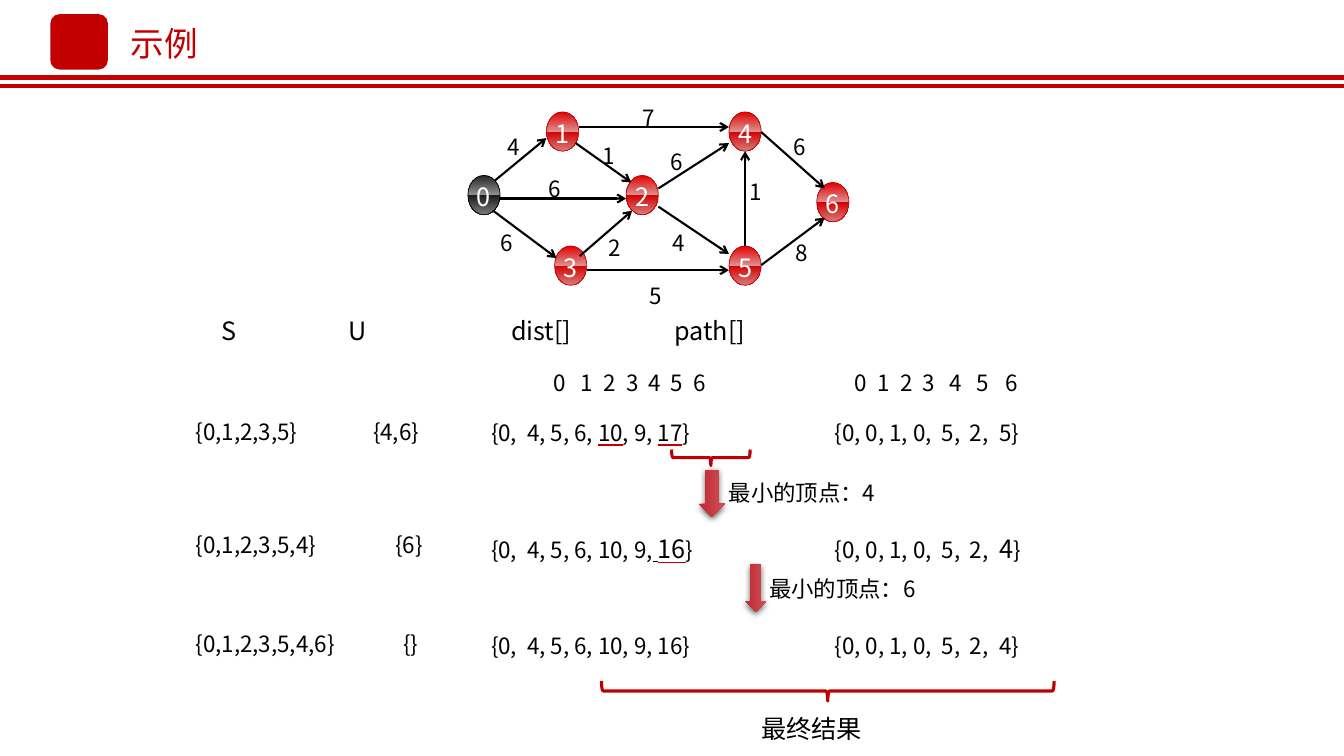
from dataclasses import dataclass
from lxml.etree import SubElement as Sub
from pptx import Presentation
from pptx.dml.color import RGBColor as Rgb
from pptx.enum.shapes import MSO_CONNECTOR as Link, MSO_SHAPE as Kind
from pptx.enum.text import MSO_ANCHOR as Anchor, PP_ALIGN as Align
from pptx.oxml.ns import qn
from pptx.util import Emu, Pt


@dataclass(frozen=True)
class Theme:
    font: str = "Noto Sans CJK SC"
    red: str = "C30000"
    brace: str = "C00000"
    black: str = "000000"
    white: str = "FFFFFF"
    arrow: tuple = ((0, "C0262E"), (100, "CD5158"))
    start: tuple = ((0, "9D9D9D"), (0, "252525"), (50, "909090"),
                    (50, "191919"), (100, "7C7C7C"), (100, "191919"))
    node: tuple = ((0, "E59D9D"), (0, "E20000"), (50, "DC9090"),
                   (50, "D30000"), (100, "D77C7C"), (100, "D30000"))
    body: int = 16
    large: int = 18
    title: int = 24


def px(n):
    return Emu(n * 9144)


def put(item, **vals):
    for key, val in vals.items():
        setattr(item, key, val)


def tint(owner, color):
    Sub(Sub(owner, qn("a:solidFill")), qn("a:srgbClr"), val=color)


class Board:
    def __init__(self, slide, theme):
        self.shapes = slide.shapes
        self.theme = theme

    def words(self, frame, runs, size=None, color=None, tabs=(), **para):
        look = self.theme
        par = frame.paragraphs[0]
        put(par, **para)
        if tabs:
            stops = Sub(par._p.get_or_add_pPr(), qn("a:tabLst"))
            for stop in tabs:
                Sub(stops, qn("a:tab"), pos=str(px(stop)), algn="l")
        for part in [(runs, {})] if isinstance(runs, str) else runs:
            text, style = part
            run = par.add_run()
            run.text = text
            run.font.color.rgb = Rgb.from_string(color or look.black)
            props = run._r.get_or_add_rPr()
            if "line" in style:
                tint(Sub(props, qn("a:uFill")), style["line"])
            put(run.font, name=look.font, size=Pt(style.get("size", size or look.body)),
                underline=style.get("under", False))
            Sub(props, qn("a:ea"), typeface=look.font)

    def text(self, box, runs, pad=True, wrap=True, anchor=Anchor.TOP, **style):
        frame = self.shapes.add_textbox(*map(px, box)).text_frame
        put(frame, word_wrap=wrap, vertical_anchor=anchor)
        if not pad:
            put(frame, margin_left=0, margin_top=0, margin_right=0, margin_bottom=0)
        self.words(frame, runs, **style)

    def shape(self, kind, box, fill=None, line=None, width=1.0, turn=0):
        item = self.shapes.add_shape(kind, *map(px, box))
        item.shadow.inherit = False
        item.rotation = turn
        if fill:
            item.fill.solid()
            item.fill.fore_color.rgb = Rgb.from_string(fill)
        else:
            item.fill.background()
        if line:
            item.line.color.rgb = Rgb.from_string(line)
            item.line.width = Pt(width)
        else:
            item.line.fill.background()
        return item

    def blend(self, item, stops, angle):
        props = item.element.spPr
        grad = props.makeelement(qn("a:gradFill"), {"rotWithShape": "1"})
        items = Sub(grad, qn("a:gsLst"))
        for pos, color in stops:
            Sub(Sub(items, qn("a:gs"), pos=str(pos * 1000)), qn("a:srgbClr"), val=color)
        Sub(grad, qn("a:lin"), ang=str(angle * 60000), scaled="0")
        props.replace(props.find(qn("a:noFill")), grad)

    def node(self, name, left, top, stops, line):
        item = self.shape(Kind.OVAL, (left, top, 32, 39), line=line, width=0.5)
        self.blend(item, stops, 90)
        put(item.text_frame, word_wrap=False, vertical_anchor=Anchor.MIDDLE)
        self.words(item.text_frame, name, self.theme.large, self.theme.white,
                   alignment=Align.CENTER, line_spacing=Pt(24))

    def line(self, ends, color, width, head=False):
        item = self.shapes.add_connector(Link.STRAIGHT, *map(px, ends))
        item.line.color.rgb = Rgb.from_string(color)
        item.line.width = Pt(width)
        props = item.element.spPr
        if head:
            Sub(props.find(qn("a:ln")), qn("a:tailEnd"), type="arrow")
        Sub(props, qn("a:effectLst"))

    def arrow(self, box):
        item = self.shape(Kind.DOWN_ARROW, box)
        self.blend(item, self.theme.arrow, 0)
        glow = Sub(item.element.spPr.find(qn("a:effectLst")), qn("a:outerShdw"),
                   blurRad=str(Pt(4.5)), dist=str(Pt(1.5)), dir="5400000",
                   algn="ctr", rotWithShape="0")
        Sub(Sub(glow, qn("a:srgbClr"), val=self.theme.black), qn("a:alpha"), val="63000")


NODES = [("0", 464, 174), ("1", 542, 111), ("2", 621, 174), ("3", 550, 244),
         ("4", 723, 111), ("5", 723, 244), ("6", 810, 181)]
EDGES = [
    ((491, 179, 542, 137), "4", (486, 127)),
    ((495, 197, 621, 197), "6", (527, 169)),
    ((489, 209, 552, 256), "6", (479, 222)),
    ((574, 126, 723, 126), "7", (620, 98)),
    ((582, 268, 723, 268), "5", (627, 275)),
    ((575, 254, 627, 209), "2", (586, 227)),
    ((571, 142, 626, 181), "1", (580, 136)),
    ((653, 187, 723, 142), "6", (648, 142)),
    ((653, 205, 723, 252), "4", (650, 222)),
    ((739, 244, 739, 150), "1", (726, 172)),
    ((755, 263, 818, 216), "8", (772, 232)),
    ((755, 131, 818, 187), "6", (770, 127)),
]


def main():
    look = Theme()
    deck = Presentation()
    put(deck, slide_width=px(1333), slide_height=px(750))
    board = Board(deck.slides.add_slide(deck.slide_layouts[6]), look)
    mark = {"under": True, "line": look.brace}
    big = {"size": look.large}

    for y in (77, 85):
        board.line((0, y, 1333, y), look.red, 3)
    board.shape(Kind.ROUNDED_RECTANGLE, (50, 14, 57, 55), fill=look.red)
    board.text((120, 18, 87, 50), "示例", wrap=False, anchor=Anchor.MIDDLE,
               size=look.title, color=look.red)

    for name, left, top in NODES:
        first = name == "0"
        board.node(name, left, top, look.start if first else look.node,
                   look.black if first else look.red)
    for ends, cost, spot in EDGES:
        board.line(ends, look.black, 1.5, head=True)
        board.text((*spot, 47, 37), cost, alignment=Align.CENTER)

    board.text((210, 314, 898, 34), "S\tU\tdist[]\tpath[]", size=look.large,
               tabs=(126, 287, 449), line_spacing=0.8)
    digits = "\t".join("0123456")
    for left, tabs in ((549, (27, 50, 72, 94, 116, 139)),
                       (848, (22, 45, 67, 94, 121, 149))):
        board.text((left, 366, 288, 27), digits, pad=False, tabs=tabs)

    dist = "{0,\t4, 5, 6, "
    trail = "{0, 0, 1, 0,\t5,\t2,\t"
    rows = [
        (415, 416, "{0,1,2,3,5}", 370, "{4,6}",
         [(dist, {}), ("10", mark), (", 9, ", {}), ("17", mark), ("}", {})],
         trail + "5}"),
        (527, 529, "{0,1,2,3,5,4}", 392, "{6}",
         [(dist + "10, 9,", {}), (" ", {"under": True}), ("16", mark | big), ("}", {})],
         [(trail, {}), ("4", big), ("}", {})]),
        (625, 627, "{0,1,2,3,5,4,6}", 400, "{}", dist + "10, 9, 16}", trail + "4}"),
    ]
    for top, low, done, left, rest, costs, steps in rows:
        board.text((194, top, 191, 27), done, pad=False)
        board.text((left, top, 80, 27), rest, pad=False)
        board.text((487, low, 302, 30), costs, pad=False, tabs=(36,))
        board.text((828, low, 307, 30), steps, pad=False, tabs=(106, 134, 163))

    for box, spot, pick in (((693, 466, 26, 47), (713, 470), "4"),
                            ((739, 560, 21, 47), (753, 566), "6")):
        board.arrow(box)
        board.text((*spot, 211, 37), "最小的顶点：" + pick)
    for kind, box, turn in ((Kind.RIGHT_BRACE, (697, 415, 16, 78), 90),
                            (Kind.LEFT_BRACE, (811, 461, 20, 449), 270)):
        board.shape(kind, box, line=look.brace, width=2.25, turn=turn)
    board.text((745, 703, 172, 40), "最终结果", size=look.large)
    deck.save("out.pptx")


if __name__ == "__main__":
    main()
